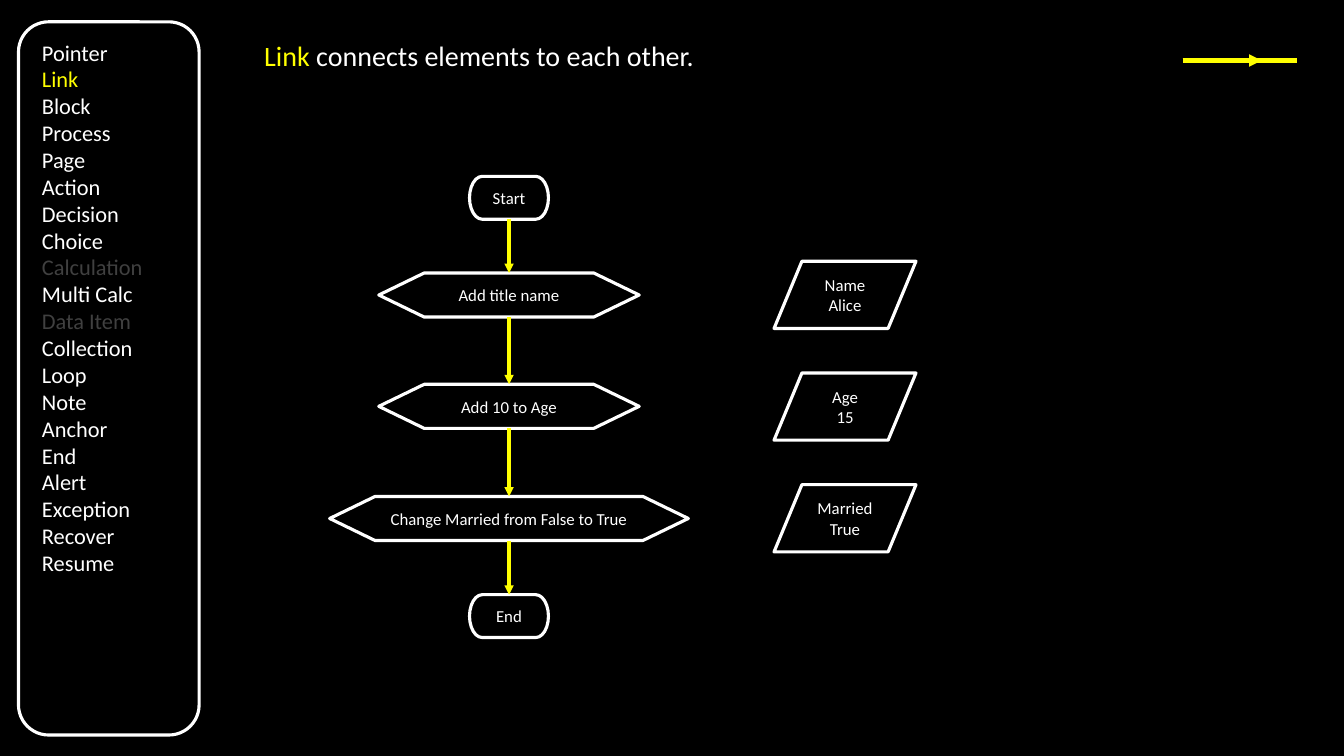
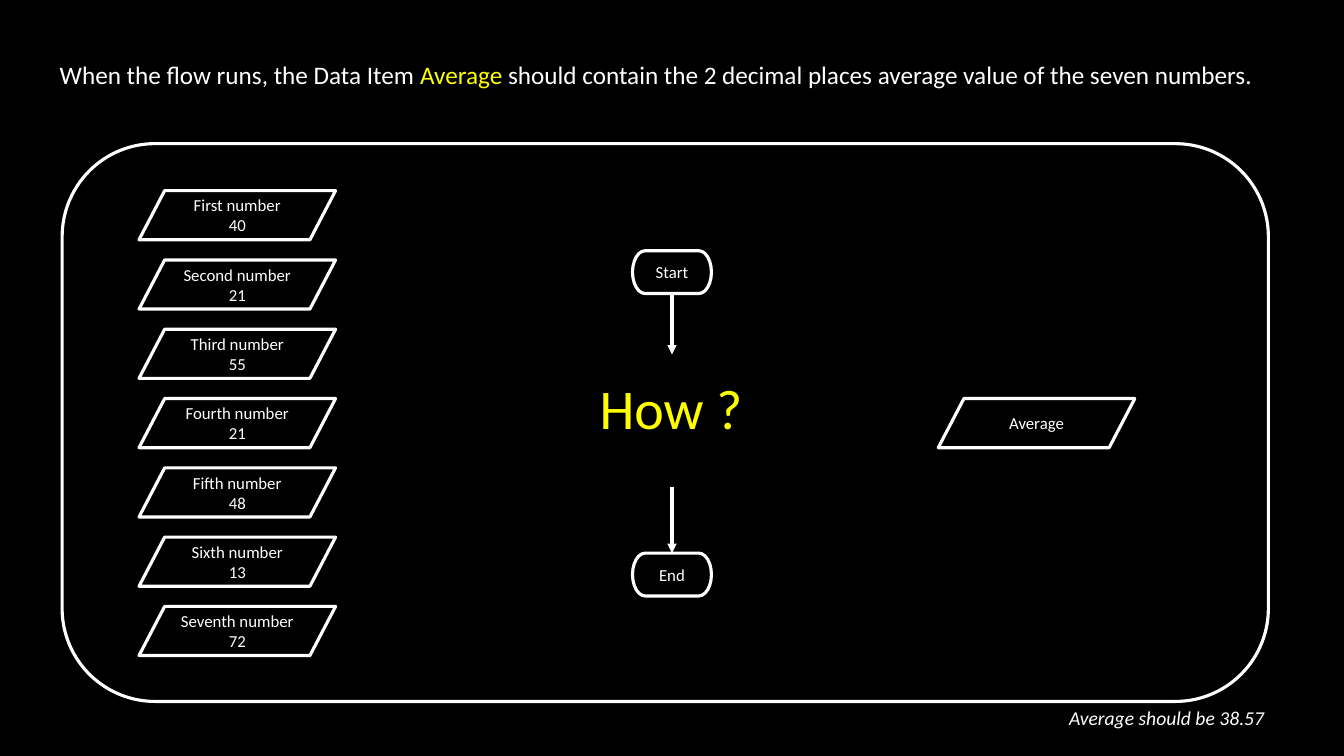
from pptx import Presentation
from pptx.dml.color import RGBColor
from pptx.enum.shapes import MSO_CONNECTOR, MSO_SHAPE
from pptx.enum.text import MSO_ANCHOR, MSO_AUTO_SIZE, PP_ALIGN
from pptx.oxml.ns import qn
from pptx.util import Emu, Pt
from lxml.etree import SubElement

COLUMNS, ROWS = 160, 90
CELL = 76200
BLACK, WHITE, YELLOW, GREY = "000000", "FFFFFF", "FFFF00", "404040"
TOP, BOTTOM = 0, 2
TITLE_AND_LIST, TITLE_ONLY = 1, 5


def color(hex_string):
    return RGBColor.from_string(hex_string)


def cells(*counts):
    return [Emu(round(count * CELL)) for count in counts]


def apply(target, values):
    for name, value in values.items():
        setattr(target, name, value)


class Deck:
    font = {"name": "Calibri", "bold": False}
    label_frame = {"word_wrap": True, "vertical_anchor": MSO_ANCHOR.MIDDLE}
    text_frame = {"word_wrap": True, "vertical_anchor": MSO_ANCHOR.TOP,
                  "auto_size": MSO_AUTO_SIZE.NONE}
    paragraph = {"space_before": Pt(0), "space_after": Pt(0), "line_spacing": 1.0}
    line_width = 2.25
    terminator_size = (9.4, 5.1)

    def __init__(self):
        self.presentation = Presentation()
        width, height = cells(COLUMNS, ROWS)
        apply(self.presentation, {"slide_width": width, "slide_height": height})
        background = self.presentation.slide_master.background.fill
        background.solid()
        background.fore_color.rgb = color(BLACK)
        self.slide = None

    def new_slide(self, layout):
        layouts = self.presentation.slide_layouts
        self.slide = self.presentation.slides.add_slide(layouts[layout])

    def add_lines(self, frame, lines, size, alignment=PP_ALIGN.LEFT, italic=False):
        for index, runs in enumerate(lines):
            paragraph = frame.paragraphs[0] if index == 0 else frame.add_paragraph()
            apply(paragraph, {**self.paragraph, "alignment": alignment})
            for text, hex_string in [(runs, WHITE)] if isinstance(runs, str) else runs:
                run = paragraph.add_run()
                run.text = text
                apply(run.font, {**self.font, "size": Pt(size), "italic": italic})
                run.font.color.rgb = color(hex_string)

    def fill_placeholder(self, index, box, lines, size):
        placeholder = self.slide.placeholders[index]
        apply(placeholder, dict(zip(("left", "top", "width", "height"), cells(*box))))
        apply(placeholder.text_frame, self.text_frame)
        self.add_lines(placeholder.text_frame, lines, size)
        return placeholder

    def title(self, box, runs, size):
        self.fill_placeholder(0, box, [runs], size)

    def menu(self, box, lines, size):
        placeholder = self.fill_placeholder(1, box, lines, size)
        for paragraph in placeholder.text_frame.paragraphs:
            properties = paragraph._p.get_or_add_pPr()
            for name in ("marL", "indent"):
                properties.set(name, "0")
            SubElement(properties, qn("a:buNone"))

    def text(self, box, lines, size, italic=False):
        frame = self.slide.shapes.add_textbox(*cells(*box)).text_frame
        apply(frame, self.text_frame)
        self.add_lines(frame, lines, size, italic=italic)

    def outline(self, kind, box, lines=(), adjustment=None):
        shape = self.slide.shapes.add_shape(kind, *cells(*box))
        shape.shadow.inherit = False
        shape.fill.background()
        shape.line.width = Pt(self.line_width)
        shape.line.color.rgb = color(WHITE)
        if adjustment is not None:
            shape.adjustments[0] = adjustment
        apply(shape.text_frame, self.label_frame)
        self.add_lines(shape.text_frame, lines, 12, PP_ALIGN.CENTER)
        return shape

    def panel(self, box):
        self.outline(MSO_SHAPE.ROUNDED_RECTANGLE, box)

    def node(self, kind, center, top, size, lines, adjustment=None):
        width, height = size
        box = (center - width / 2, top, width, height)
        return self.outline(kind, box, lines, adjustment)

    def terminator(self, label, center, top):
        return self.node(MSO_SHAPE.FLOWCHART_TERMINATOR, center, top,
                         self.terminator_size, [label])

    def action(self, label, center, top, width):
        self.node(MSO_SHAPE.HEXAGON, center, top, (width, 5.25), [label], 1.03)

    def data_item(self, lines, center, top, size, slant):
        self.node(MSO_SHAPE.PARALLELOGRAM, center, top, size, lines, slant)

    def connector(self, start, end, hex_string, width=line_width, arrow=True,
                  source=None, target=None):
        connector = self.slide.shapes.add_connector(
            MSO_CONNECTOR.STRAIGHT, *cells(*start, *end))
        if source is not None:
            connector.begin_connect(source, BOTTOM)
        if target is not None:
            connector.end_connect(target, TOP)
        connector.line.width = Pt(width)
        connector.line.color.rgb = color(hex_string)
        properties = connector._element.spPr
        if arrow:
            SubElement(properties.find(qn("a:ln")), qn("a:tailEnd"), type="triangle")
        SubElement(properties, qn("a:effectLst"))


def link_slide(deck):
    deck.new_slide(TITLE_AND_LIST)
    names = ["Pointer", "Link", "Block", "Process", "Page", "Action", "Decision",
             "Choice", "Calculation", "Multi Calc", "Data Item", "Collection", "Loop",
             "Note", "Anchor", "End", "Alert", "Exception", "Recover", "Resume"]
    marked = {"Link": YELLOW, "Calculation": GREY, "Data Item": GREY}
    deck.menu((3.8, 4, 17, 66), [[(name, marked.get(name, WHITE))] for name in names], 16)
    deck.panel((2.2, 2.6, 21.5, 84.9))
    deck.title((30.25, 4, 114, 5.25),
               [("Link", YELLOW), (" connects elements to each other.", WHITE)], 20)

    data_items = [("Name", "Alice"), ("Age", "15"), ("Married", "True")]
    for index, lines in enumerate(data_items):
        deck.data_item(lines, 100.6, 31.1 + index * 13.3, (16.9, 8), 0.415)

    center, end_top = 60.6, 70.8
    start = deck.terminator("Start", center, 21)
    end = deck.terminator("End", center, end_top)
    actions = [("Add title name", 32.5, 31), ("Add 10 to Age", 45.75, 31),
               ("Change Married from False to True", 59.1, 42.7)]
    for label, top, width in actions:
        deck.action(label, center, top, width)

    tops = [top for _, top, _ in actions] + [end_top]
    bottoms = [26.1] + [top + 5.25 for _, top, _ in actions]
    sources = [start, None, None, None]
    targets = [None, None, None, end]
    for bottom, top, source, target in zip(bottoms, tops, sources, targets):
        deck.connector((center, bottom), (center, top), YELLOW,
                       source=source, target=target)

    for right, arrow in ((150.2, True), (154.4, False)):
        deck.connector((140.8, 7.2), (right, 7.2), YELLOW, 3, arrow)


def average_slide(deck):
    deck.new_slide(TITLE_ONLY)
    deck.title((5.9, 6.5, 150, 4.8),
               [("When the flow runs, the Data Item ", WHITE), ("Average", YELLOW),
                (" should contain the 2 decimal places average value of the seven numbers.",
                 WHITE)], 18)
    deck.panel((7.4, 17.1, 143.6, 66.4))

    numbers = {"First": 40, "Second": 21, "Third": 55, "Fourth": 21,
               "Fifth": 48, "Sixth": 13, "Seventh": 72}
    first_top, pitch, size, slant = 22.7, 8.25, (23.4, 5.85), 0.522
    for index, (ordinal, value) in enumerate(numbers.items()):
        deck.data_item([f"{ordinal} number", str(value)], 28.25,
                       first_top + index * pitch, size, slant)
    deck.data_item(["Average"], 123.4, first_top + 3 * pitch, size, slant)

    center = COLUMNS / 2
    start = deck.terminator("Start", center, 29.85)
    end = deck.terminator("End", center, 65.85)
    deck.connector((center, 34.95), (center, 42.2), WHITE, source=start)
    deck.connector((center, 58), (center, 65.85), WHITE, target=end)
    deck.text((70.2, 43.9, 22, 9.3), [[("How ?", YELLOW)]], 40)
    deck.text((126.1, 83.5, 30, 4.1), ["Average should be 38.57"], 14, italic=True)


def main():
    deck = Deck()
    link_slide(deck)
    average_slide(deck)
    deck.presentation.save("out.pptx")


if __name__ == "__main__":
    main()
